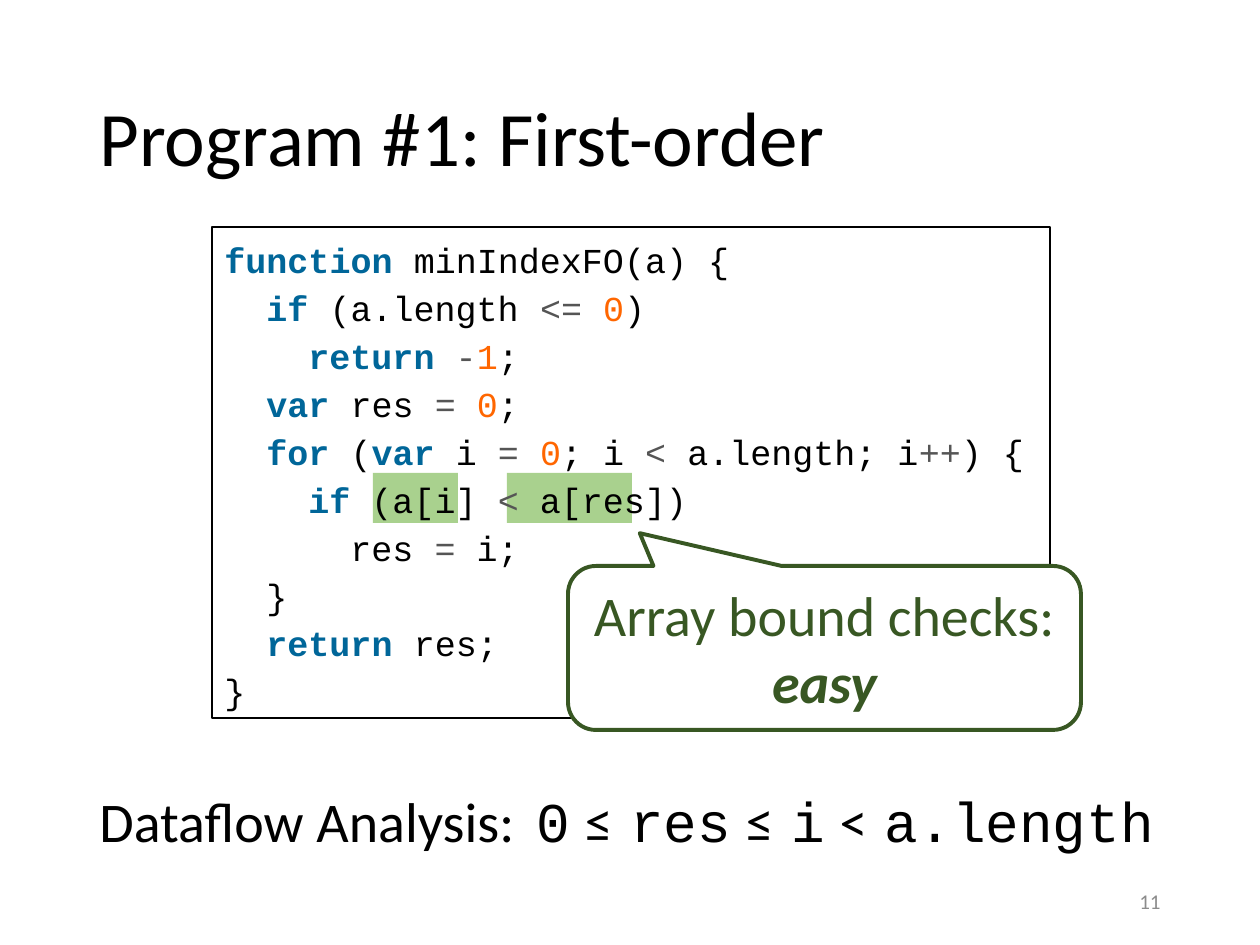
from pptx import Presentation
from pptx.dml.color import RGBColor
from pptx.enum.shapes import MSO_SHAPE
from pptx.enum.text import MSO_ANCHOR, MSO_AUTO_SIZE, PP_ALIGN
from pptx.oxml import parse_xml
from pptx.oxml.ns import nsdecls
from pptx.util import Pt

EMU_PER_PX = 914400 / 126
LEFT, CENTER, RIGHT = PP_ALIGN.LEFT, PP_ALIGN.CENTER, PP_ALIGN.RIGHT
TOP, MIDDLE = MSO_ANCHOR.TOP, MSO_ANCHOR.MIDDLE
RECT, CALLOUT = MSO_SHAPE.RECTANGLE, MSO_SHAPE.ROUNDED_RECTANGULAR_CALLOUT

BLACK = RGBColor(0x00, 0x00, 0x00)
WHITE = RGBColor(0xFF, 0xFF, 0xFF)
GRAY = RGBColor(0x8C, 0x8C, 0x8C)
HIGHLIGHT = RGBColor(0xA9, 0xD1, 0x8E)
GREEN = RGBColor(0x38, 0x57, 0x23)
KEYWORD = RGBColor(0x00, 0x66, 0x99)
OPERATOR = RGBColor(0x55, 0x55, 0x55)
NUMBER = RGBColor(0xFF, 0x66, 0x00)

SANS, MONO = "Calibri", "Courier New"
INDENT = Pt(24)  # two characters of 20 pt code

# Each line: indent level, then (text, colour) tokens
CODE = [
    (0, [("function", KEYWORD), (" minIndexFO(a) {", BLACK)]),
    (1, [("if", KEYWORD), (" (a.length ", BLACK), ("<= ", OPERATOR),
         ("0", NUMBER), (")", BLACK)]),
    (2, [("return ", KEYWORD), ("-", OPERATOR), ("1", NUMBER), (";", BLACK)]),
    (1, [("var ", KEYWORD), ("res ", BLACK), ("= ", OPERATOR),
         ("0", NUMBER), (";", BLACK)]),
    (1, [("for", KEYWORD), (" (", BLACK), ("var", KEYWORD), (" i ", BLACK),
         ("= ", OPERATOR), ("0", NUMBER), ("; i ", BLACK), ("<", OPERATOR),
         (" a.length; i", BLACK), ("++", OPERATOR), (") {", BLACK)]),
    (2, [("if", KEYWORD), (" (a[i] ", BLACK), ("<", OPERATOR),
         (" a[res])", BLACK)]),
    (3, [("res ", BLACK), ("=", OPERATOR), (" i;", BLACK)]),
    (1, [("}", BLACK)]),
    (1, [("return ", KEYWORD), ("res;", BLACK)]),
    (0, [("}", BLACK)]),
]


def px(*lengths):
    return [round(n * EMU_PER_PX) for n in lengths]


def add_run(p, text, size, color, font=SANS, bold=False, italic=False):
    r = p.add_run()
    r.text = text
    f = r.font
    f.name, f.size, f.bold, f.italic = font, Pt(size), bold, italic
    f.color.rgb = color
    return r


def add_box(s, kind, box, fill=None, line=None, width=1):
    sp = s.shapes.add_shape(kind, *px(*box))
    sp.shadow.inherit = False
    if fill is None:
        sp.fill.background()
    else:
        sp.fill.solid()
        sp.fill.fore_color.rgb = fill
    if line is None:
        sp.line.fill.background()
    else:
        sp.line.color.rgb = line
        sp.line.width = Pt(width)
    return sp


def setup_text(sp, anchor, align):
    tf = sp.text_frame
    tf.word_wrap = True
    tf.auto_size = MSO_AUTO_SIZE.NONE
    tf.vertical_anchor = anchor
    p = tf.paragraphs[0]
    p.alignment = align
    return p


def add_title(s, box, text):
    sp = s.shapes.title
    sp.left, sp.top, sp.width, sp.height = px(*box)
    p = setup_text(sp, MIDDLE, LEFT)
    p.line_spacing = 0.9
    add_run(p, text, 44, BLACK)


def add_code(s, box):
    x, y, w, h = box
    # Highlights behind the two array reads
    for dx, width in ((161, 85), (295, 125)):
        add_box(s, RECT, (x + dx, y + 246, width, 50), HIGHLIGHT)
    # Listing
    sp = add_box(s, RECT, box, line=BLACK)
    p = setup_text(sp, MIDDLE, LEFT)
    for i, (level, tokens) in enumerate(CODE):
        if i:
            p = sp.text_frame.add_paragraph()
        p.alignment = LEFT
        p.line_spacing = 1.14
        p._p.get_or_add_pPr().set("marL", str(level * INDENT))
        for text, color in tokens:
            add_run(p, text, 20, color, MONO, bold=color == KEYWORD)


def add_callout(s, box):
    sp = add_box(s, CALLOUT, box, WHITE, GREEN, 2.25)
    for i, value in enumerate((-0.36, -0.7, 0.17)):
        sp.adjustments[i] = value
    p = setup_text(sp, TOP, CENTER)
    add_run(p, "Array bound checks: ", 32, GREEN)
    add_run(p, "easy", 32, GREEN, bold=True, italic=True)


def add_analysis(s, box):
    p = setup_text(s.shapes.add_textbox(*px(*box)), TOP, LEFT)
    # Tab stop where the formula begins
    p._p.get_or_add_pPr().append(parse_xml(
        f'<a:tabLst {nsdecls("a")}><a:tab pos="{px(437)[0]}" algn="l"/></a:tabLst>'))
    add_run(p, "Dataflow Analysis:\t", 32, BLACK)
    for term, relation in (("0", " ≤ "), ("res", " ≤ "), ("i", " < "), ("a.length", "")):
        add_run(p, term, 32, BLACK, MONO)
        if relation:
            r = add_run(p, relation, 32, BLACK)
            r.font._element.set("spc", "130")


def add_number(s, box, text):
    p = setup_text(s.shapes.add_textbox(*px(*box)), MIDDLE, RIGHT)
    add_run(p, text, 12, GRAY)


def main():
    prs = Presentation()
    prs.slide_width, prs.slide_height = px(1260, 945)
    s = prs.slides.add_slide(prs.slide_layouts[5])
    add_title(s, (87, 50, 1086, 183), "Program #1: First-order")
    add_code(s, (212, 227, 838, 491))
    add_callout(s, (568, 566, 513, 164))
    add_analysis(s, (87, 780, 1086, 81))
    add_number(s, (890, 876, 283, 50), "11")
    prs.save("out.pptx")


if __name__ == "__main__":
    main()
